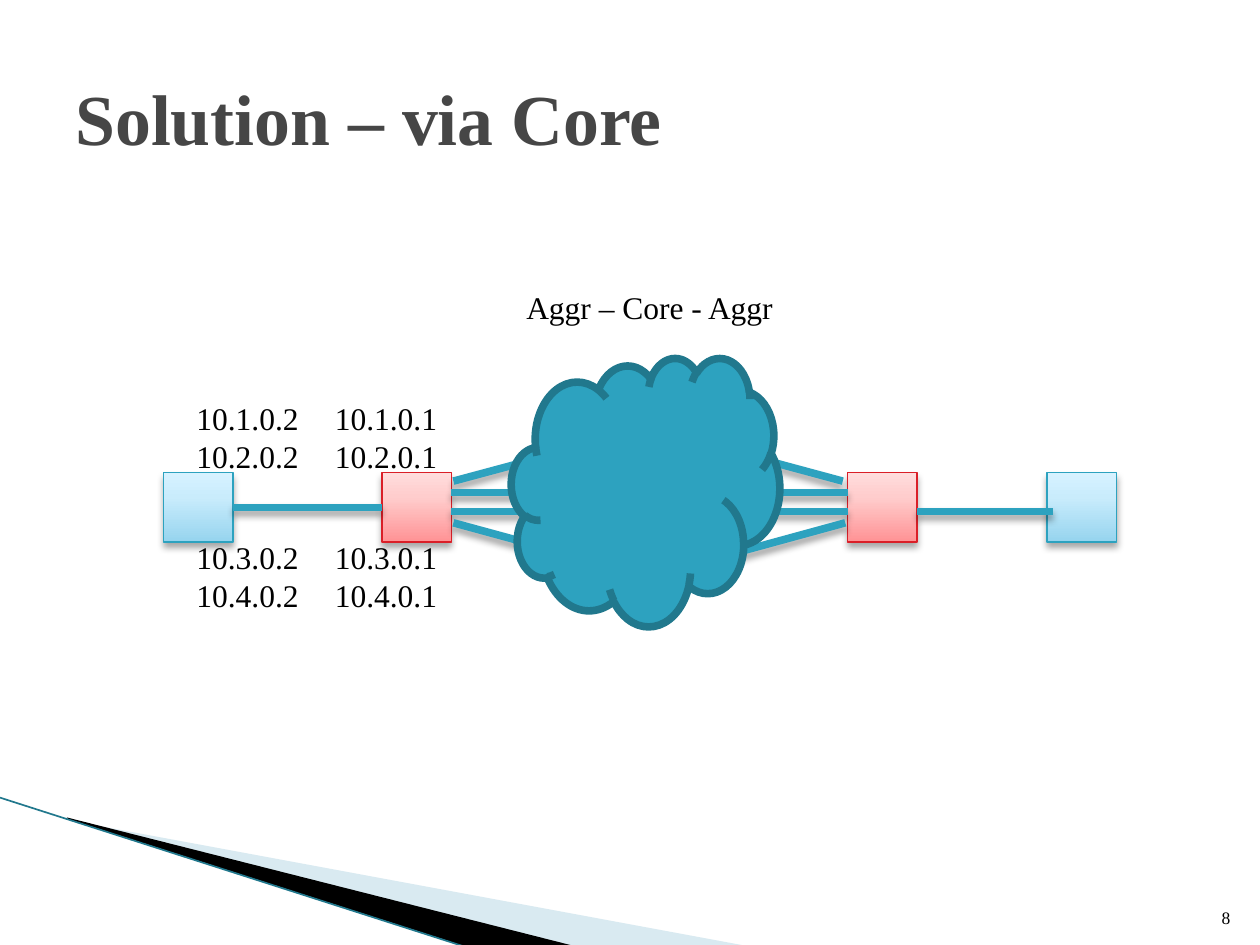
from typing import NamedTuple

from lxml.etree import SubElement
from pptx import Presentation
from pptx.dml.color import RGBColor
from pptx.enum.shapes import MSO_CONNECTOR as Line, MSO_SHAPE as Preset
from pptx.enum.text import MSO_ANCHOR as Anchor, MSO_AUTO_SIZE as Fit, PP_ALIGN as Align
from pptx.oxml.ns import qn
from pptx.util import Cm, Pt

FONT = "Times New Roman"
TEAL, DARK_TEAL, BLACK = "2DA2BF", "21788D", "000000"
NODE_SIZE, NODE_TOP = 1.4, 9.53
LINK_WIDTH = 4.33


class NodeStyle(NamedTuple):
    stops: tuple[tuple[int, str], ...]
    outline: str


class Node(NamedTuple):
    name: str
    left: float
    style: NodeStyle


class Link(NamedTuple):
    x1: float
    y1: float
    x2: float
    y2: float


class Label(NamedTuple):
    left: float
    top: float
    width: float
    height: float
    lines: tuple[str, ...]


class Wedge(NamedTuple):
    points: tuple[tuple[float, float], ...]
    color: str
    opacity: int


HOST = NodeStyle(((0, "96D4EE"), (65, "C9ECFC"), (100, "D7F2FF")), TEAL)
SWITCH = NodeStyle(((0, "FF9294"), (65, "FFCDCD"), (100, "FFDCDC")), "DA1F28")

NODES = (
    Node("left host", 3.3, HOST),
    Node("right host", 21.11, HOST),
    Node("left switch", 7.7, SWITCH),
    Node("right switch", 17.09, SWITCH),
)

CORE_LINKS = (
    Link(9.14, 9.7, 12.04, 8.92),
    Link(9.09, 9.93, 12.09, 9.93),
    Link(9.09, 10.31, 12.09, 10.31),
    Link(9.14, 10.54, 12.04, 11.33),
    Link(14.1, 8.92, 16.99, 9.7),
    Link(14.1, 9.93, 17.09, 9.93),
    Link(14.1, 10.31, 17.09, 10.31),
    Link(14.15, 11.33, 17.04, 10.54),
)
RIGHT_HOST_LINK = Link(18.49, 10.31, 21.23, 10.31)

# Each column holds the addresses of one end, two above and two below
ADDRESSES = tuple(
    Label(left, top, 2.59, 1.8, tuple(f"10.{net}.0.{end}" for net in nets))
    for left, end in ((3.71, 2), (6.5, 1))
    for top, nets in ((7.92, (1, 2)), (10.72, (3, 4)))
)
CORE_LABEL = Label(10.36, 5.69, 5.54, 1.02, ("Aggr – Core - Aggr",))
TITLE = Label(1.27, 0.76, 22.86, 3.18, ("Solution – via Core",))
PAGE_NUMBER = Label(24.03, 17.81, 1.02, 1.02, ("8",))

WEDGES = (
    Wedge(((1.4, 16.54), (15.11, 19.08), (11.58, 19.08), (1.4, 16.51)), "A0CBDC", 40),
    Wedge(((1.35, 16.48), (11.61, 19.08), (9.45, 19.1), (1.37, 16.51)), BLACK, 100),
)
WEDGE_EDGE = Link(0, 16.08, 9.42, 19.1)


def rgb(color: str) -> RGBColor:
    return RGBColor.from_string(color)


def set_all(target, values: dict) -> None:
    for name, value in values.items():
        setattr(target, name, value)


def set_line(line, color: str, width: float) -> None:
    line.color.rgb = rgb(color)
    line.width = Pt(width)


def add_color(parent, color: str, opacity: int) -> None:
    element = SubElement(parent, qn("a:srgbClr"), val=color)
    SubElement(element, qn("a:alpha"), val=str(opacity * 1000))


def set_effects(shape, shadow: bool) -> None:
    """Replace the theme shadow; call after the line is set."""
    properties = shape._element.spPr
    effects = SubElement(properties, qn("a:effectLst"))
    if shadow:
        drop = SubElement(effects, qn("a:outerShdw"), blurRad=str(Pt(4)),
                          dist=str(Pt(3)), dir="5400000", rotWithShape="0")
        add_color(drop, BLACK, 35)


def set_gradient(shape, stops: tuple[tuple[int, str], ...]) -> None:
    shape.fill.gradient()
    shape.fill.gradient_angle = 90
    stop_list = shape._element.spPr.find(qn("a:gradFill")).find(qn("a:gsLst"))
    for stop in list(stop_list):
        stop_list.remove(stop)
    for position, color in stops:
        stop = SubElement(stop_list, qn("a:gs"), pos=str(position * 1000))
        add_color(stop, color, 100)


def draw_node(page, node: Node):
    box = page.shapes.add_shape(Preset.RECTANGLE, Cm(node.left), Cm(NODE_TOP),
                                Cm(NODE_SIZE), Cm(NODE_SIZE))
    set_gradient(box, node.style.stops)
    set_line(box.line, node.style.outline, 0.75)
    set_effects(box, shadow=True)
    return box


def draw_link(page, link: Link, color: str = TEAL, width: float = LINK_WIDTH,
              shadow: bool = True):
    connector = page.shapes.add_connector(Line.STRAIGHT, *map(Cm, link))
    set_line(connector.line, color, width)
    set_effects(connector, shadow)
    return connector


def draw_label(page, label: Label, size: float = 18, color: str = BLACK,
               bold: bool = False, frame: dict | None = None,
               align: Align = Align.LEFT) -> None:
    box = page.shapes.add_textbox(*map(Cm, label[:4]))
    text = box.text_frame
    set_all(text, frame or {"word_wrap": False, "auto_size": Fit.SHAPE_TO_FIT_TEXT})
    for index, line in enumerate(label.lines):
        para = text.paragraphs[0] if index == 0 else text.add_paragraph()
        para.alignment = align
        span = para.add_run()
        span.text = line
        set_all(span.font, {"name": FONT, "size": Pt(size), "bold": bold})
        span.font.color.rgb = rgb(color)


def draw_wedge(page, wedge: Wedge) -> None:
    start, *rest = [(Cm(x), Cm(y)) for x, y in wedge.points]
    builder = page.shapes.build_freeform(*start)
    builder.add_line_segments(rest, close=True)
    shape = builder.convert_to_shape()
    shape.fill.solid()
    shape.fill.fore_color.rgb = rgb(wedge.color)
    color = shape._element.spPr.find(qn("a:solidFill"))[0]
    SubElement(color, qn("a:alpha"), val=str(wedge.opacity * 1000))
    shape.line.fill.background()
    set_effects(shape, shadow=False)


def draw_cloud(page) -> None:
    cloud = page.shapes.add_shape(Preset.CLOUD, Cm(10.31), Cm(7.21), Cm(5.41), Cm(5.41))
    cloud.fill.solid()
    cloud.fill.fore_color.rgb = rgb(TEAL)
    set_line(cloud.line, DARK_TEAL, LINK_WIDTH)
    set_effects(cloud, shadow=False)


def main() -> None:
    deck = Presentation()
    set_all(deck, {"slide_width": Cm(25.4), "slide_height": Cm(19.05)})
    page = deck.slides.add_slide(deck.slide_layouts[6])

    # Corner decoration, page number and title
    for wedge in WEDGES:
        draw_wedge(page, wedge)
    draw_link(page, WEDGE_EDGE, DARK_TEAL, 0.95, shadow=False)
    draw_label(page, PAGE_NUMBER, 10, align=Align.RIGHT,
               frame={"word_wrap": True, "vertical_anchor": Anchor.BOTTOM})
    draw_label(page, TITLE, 41, "464646", bold=True,
               frame={"word_wrap": True, "vertical_anchor": Anchor.MIDDLE})

    # Hosts and switches with their addresses
    boxes = {node.name: draw_node(page, node) for node in NODES}
    for label in ADDRESSES:
        draw_label(page, label)

    # Links, with the cloud over the ends of those that enter the core
    middle = NODE_TOP + NODE_SIZE / 2
    host_link = draw_link(page, Link(4.7, middle, 7.7, middle))
    host_link.begin_connect(boxes["left host"], 3)
    host_link.end_connect(boxes["left switch"], 1)
    for link in CORE_LINKS:
        draw_link(page, link)
    draw_cloud(page)
    draw_link(page, RIGHT_HOST_LINK)
    draw_label(page, CORE_LABEL)

    deck.save("out.pptx")


if __name__ == "__main__":
    main()
